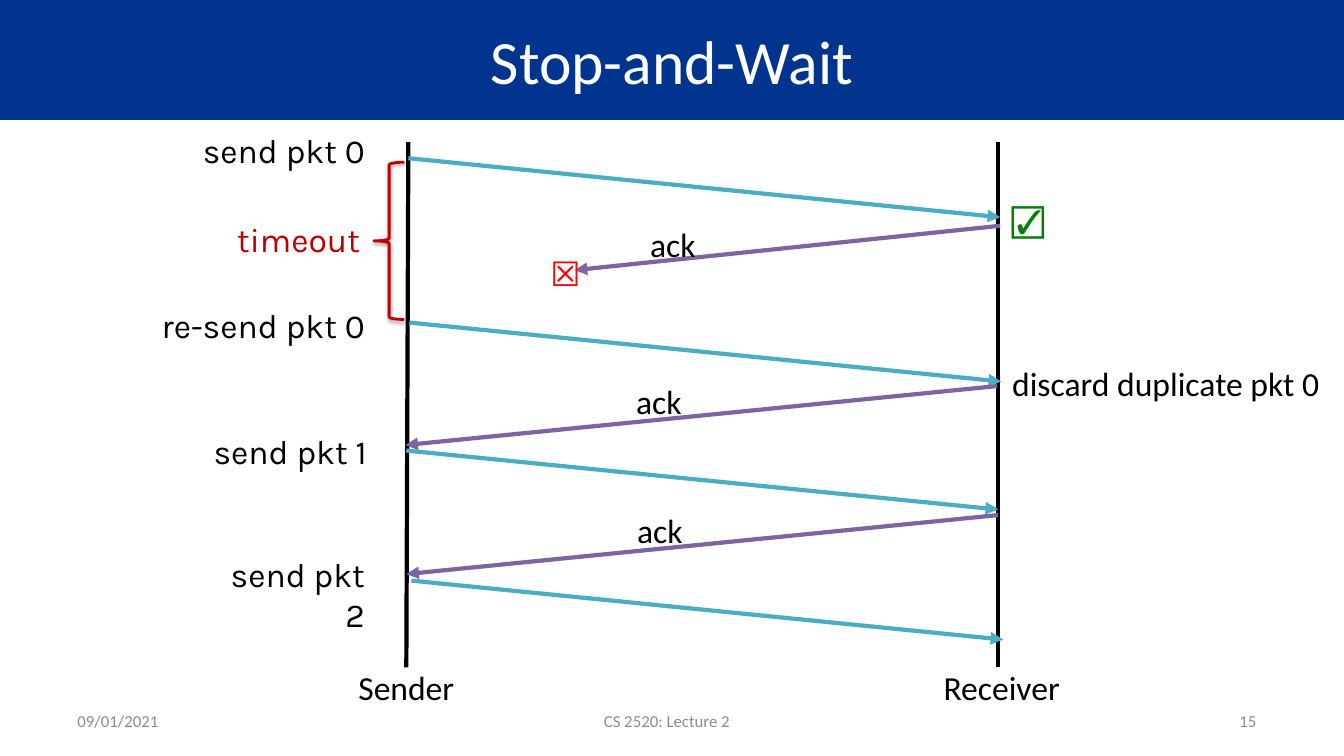
from lxml import etree
from pptx import Presentation
from pptx import util as u
from pptx.dml.color import RGBColor
from pptx.enum import shapes, text
from pptx.oxml import parse_xml
from pptx.oxml.ns import nsdecls, qn

BLACK, BLUE, GREY, RED = "000000", "00348F", "8C8C8C", "C00000"
PACKET, ACK = "4BACC6", "8064A2"
LEFT, CENTER, RIGHT = text.PP_ALIGN.LEFT, text.PP_ALIGN.CENTER, text.PP_ALIGN.RIGHT
TOP, MIDDLE = text.MSO_ANCHOR.TOP, text.MSO_ANCHOR.MIDDLE

TITLE = "Stop-and-Wait"
FOOTERS = [  # words, left, width, alignment
    ("09/01/2021", 0.67, 1.64, LEFT),
    ("CS 2520: Lecture 2", 2.05, 9.13, CENTER),
    ("15", 11.17, 1.39, RIGHT),
]
TIMELINES = [((4.05, 1.41), (4.03, 6.62)), ((9.9, 1.41), (9.9, 6.62))]
ENDPOINTS = [("Sender", 3.36, 1.34), ("Receiver", 9.13, 1.61)]
SENDER_EVENTS = [  # words, left, top, width, colour
    ("send pkt 0", 1.92, 1.25, 1.79, BLACK),
    ("timeout", 1.9, 2.13, 1.76, RED),
    ("re-send pkt 0", 1.34, 2.98, 2.37, BLACK),
    ("send pkt 1", 1.36, 4.23, 2.37, BLACK),
    ("send pkt 2", 1.95, 5.45, 1.76, BLACK),
]
SPAN, DROP = 5.87, 0.585  # run and fall of a message that arrives
PACKETS = [(4.05, 1.57), (4.06, 3.2), (4.03, 4.47), (4.08, 5.76)]
ACKS = [(9.89, 3.83), (9.9, 5.11)]
LOST_ACK = ((9.92, 2.24), (5.7, 2.68))
ACK_LABELS = [(6.35, 2.17), (6.21, 3.73), (6.22, 5.01)]
MARKS = [("☑", 9.93, 1.92, 0.66, "008000"), ("☒", 5.36, 2.46, 0.62, "FF0000")]
DISCARD = "discard duplicate pkt 0"
TIMEOUT_BRACE = (3.71, 1.61, 0.3, 1.56)


def rgb(value):
    return RGBColor.from_string(value)


def inches(*values):
    return [u.Inches(value) for value in values]


def format_text(shape, words, size, colour, font, align, anchor):
    frame = shape.text_frame
    frame.text = words
    frame.vertical_anchor = anchor
    paragraph = frame.paragraphs[0]
    paragraph.alignment = align
    run_font = paragraph.runs[0].font
    run_font.size, run_font.name = u.Pt(size), font
    run_font.color.rgb = rgb(colour)


def add_label(words, box, size=24, colour=BLACK, font="Calibri", align=LEFT,
              anchor=TOP, wrap=True, insets=(0.1, 0.05)):
    shape = slide.shapes.add_textbox(*inches(*box))
    format_text(shape, words, size, colour, font, align, anchor)
    frame = shape.text_frame
    frame.word_wrap = wrap
    frame.margin_left = frame.margin_right = u.Inches(insets[0])
    frame.margin_top = frame.margin_bottom = u.Inches(insets[1])


def add_line(start, end, colour, arrow=True):
    line = slide.shapes.add_connector(
        shapes.MSO_CONNECTOR.STRAIGHT, *inches(*start, *end))
    line.line.color.rgb = rgb(colour)
    line.line.width = u.Pt(3)
    properties = line._element.spPr
    if arrow:
        outline = properties.find(qn("a:ln"))
        etree.SubElement(outline, qn("a:tailEnd"), type="triangle")
    etree.SubElement(properties, qn("a:effectLst"))


def add_brace(box):
    brace = slide.shapes.add_shape(shapes.MSO_SHAPE.LEFT_BRACE, *inches(*box))
    brace.fill.background()
    brace.line.color.rgb = rgb(RED)
    brace.line.width = u.Pt(2)
    brace._element.spPr.append(parse_xml(
        f'<a:effectLst {nsdecls("a")}>'
        f'<a:outerShdw blurRad="{u.Pt(3.1)}" dist="{u.Pt(1.6)}" dir="5400000" rotWithShape="0">'
        '<a:srgbClr val="000000"><a:alpha val="38000"/></a:srgbClr>'
        '</a:outerShdw></a:effectLst>'))


presentation = Presentation()
presentation.slide_width, presentation.slide_height = inches(13.33, 7.5)
slide = presentation.slides.add_slide(presentation.slide_layouts[5])

title = slide.shapes.title
title.left, title.top, title.width, title.height = inches(0, 0, 13.33, 1.19)
title.fill.solid()
title.fill.fore_color.rgb = rgb(BLUE)
format_text(title, TITLE, 44, "FFFFFF", "Calibri", CENTER, MIDDLE)

for words, left, width, align in FOOTERS:
    add_label(words, (left, 6.95, width, 0.4), size=12, colour=GREY,
              align=align, anchor=MIDDLE)

for start, end in TIMELINES:
    add_line(start, end, BLACK, arrow=False)
for words, left, width in ENDPOINTS:
    add_label(words, (left, 6.57, width, 0.5), align=CENTER, anchor=MIDDLE, wrap=False)

for x, y in PACKETS:
    add_line((x, y), (x + SPAN, y + DROP), PACKET)
for x, y in ACKS:
    add_line((x, y), (x - SPAN, y + DROP), ACK)
add_line(*LOST_ACK, ACK)

add_brace(TIMEOUT_BRACE)
for words, left, top, width, colour in SENDER_EVENTS:
    add_label(words, (left, top, width, 0.49), colour=colour, font="Karla",
              align=RIGHT, insets=(0.09, 0.04))
for left, top in ACK_LABELS:
    add_label("ack", (left, top, 0.71, 0.44), wrap=False)
for words, left, top, width, colour in MARKS:
    add_label(words, (left, top, width, 0.44), colour=colour, font="Arial")
add_label(DISCARD, (9.94, 3.55, 3.39, 0.5))

presentation.save("out.pptx")
